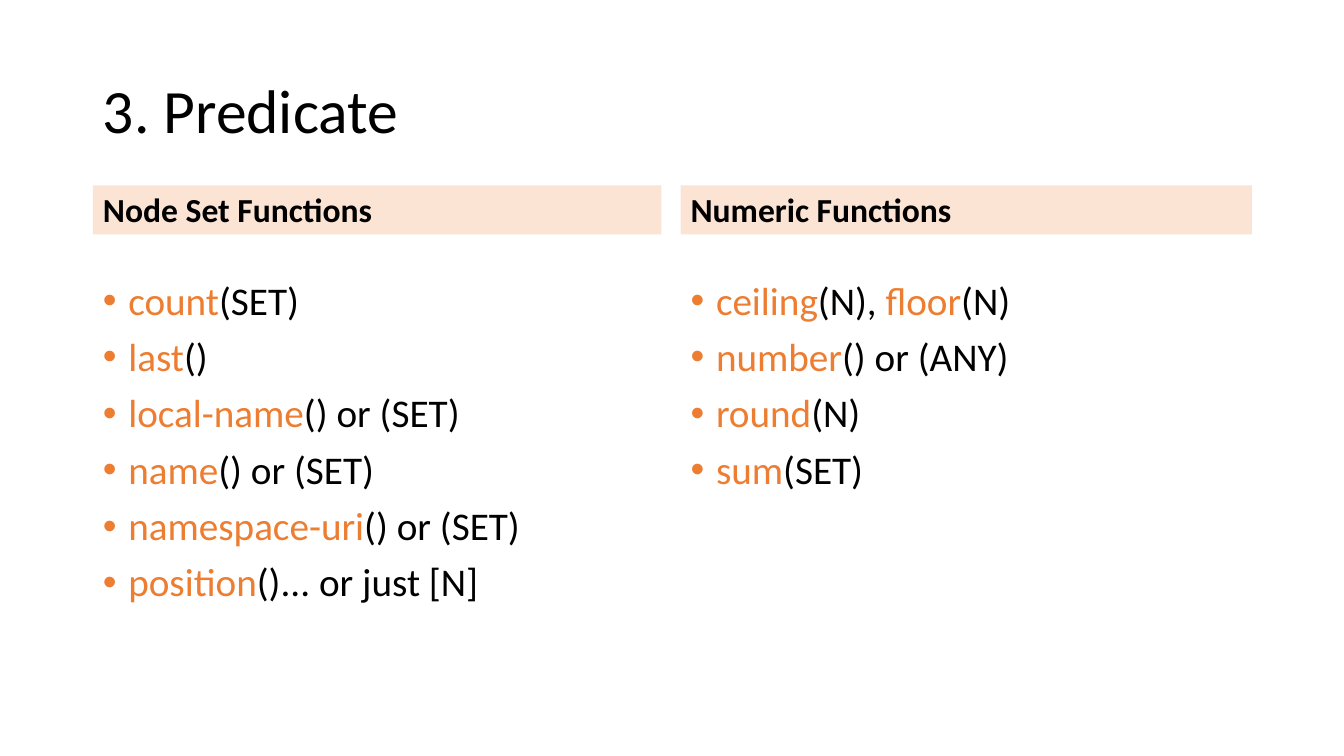
"""Build the predicate slide comparing node set and numeric functions."""
from dataclasses import dataclass

from lxml.etree import SubElement
from pptx import Presentation
from pptx.dml.color import RGBColor
from pptx.enum.text import MSO_ANCHOR as Anchor, MSO_AUTO_SIZE as AutoSize, PP_ALIGN as Align
from pptx.oxml.ns import qn
from pptx.shapes.placeholder import SlidePlaceholder as Placeholder
from pptx.util import Cm, Pt

COLORS = {"text": "000000", "accent": "ED7D31", "band": "FBE4D4"}
FONT = "Calibri"
COMPARISON_LAYOUT = 4
HEADING_TOP, HEADING_HEIGHT = 4.67, 1.24
LIST_TOP, LIST_HEIGHT = 6.96, 10.24
INDENT = 0.64


@dataclass
class Column:
    left: float
    width: float
    heading_index: int
    list_index: int
    heading: str
    functions: list[str]


COLUMNS = [
    Column(2.34, 14.33, 1, 2, "Node Set Functions", [
        "count|(SET)",
        "last|()",
        "local-name|() or (SET)",
        "name|() or (SET)",
        "namespace-uri|() or (SET)",
        "position|()... or just [N]",
    ]),
    Column(17.15, 14.4, 3, 4, "Numeric Functions", [
        "ceiling|(N), |floor|(N)",
        "number|() or (ANY)",
        "round|(N)",
        "sum|(SET)",
    ]),
]


def color(name: str) -> RGBColor:
    return RGBColor.from_string(COLORS[name])


def place(box: Placeholder, left: float, top: float, width: float, height: float,
          anchor: Anchor) -> None:
    box.left, box.top, box.width, box.height = Cm(left), Cm(top), Cm(width), Cm(height)
    frame = box.text_frame
    frame.word_wrap = True
    frame.auto_size = AutoSize.NONE
    frame.vertical_anchor = anchor


def format_para(para, size: int, bold: bool = False, space_before: int = 0) -> None:
    para.alignment = Align.LEFT
    para.line_spacing = 0.9
    para.space_before = Pt(space_before)
    para.font.name = FONT
    para.font.size = Pt(size)
    para.font.bold = bold


def add_bullet(para) -> None:
    properties = para._p.get_or_add_pPr()
    properties.set("marL", str(Cm(INDENT)))
    properties.set("indent", str(-Cm(INDENT)))
    bullet_color = SubElement(properties, qn("a:buClr"))
    SubElement(bullet_color, qn("a:srgbClr"), val=COLORS["accent"])
    SubElement(properties, qn("a:buFont"), typeface="Arial")
    SubElement(properties, qn("a:buChar"), char="•")


def write_line(box: Placeholder, text: str, size: int, bold: bool = False) -> None:
    box.text_frame.text = text
    para = box.text_frame.paragraphs[0]
    format_para(para, size, bold)
    para.font.color.rgb = color("text")


def write_functions(box: Placeholder, functions: list[str]) -> None:
    frame = box.text_frame
    for number, function in enumerate(functions):
        para = frame.add_paragraph() if number else frame.paragraphs[0]
        add_bullet(para)
        format_para(para, 28, space_before=10 if number else 0)
        for position, part in enumerate(function.split("|")):
            span = para.add_run()
            span.text = part
            span.font.color.rgb = color("text" if position % 2 else "accent")


def draw_column(page, column: Column) -> None:
    heading = page.placeholders[column.heading_index]
    place(heading, column.left, HEADING_TOP, column.width, HEADING_HEIGHT, Anchor.BOTTOM)
    heading.fill.solid()
    heading.fill.fore_color.rgb = color("band")
    write_line(heading, column.heading, 24, bold=True)

    function_list = page.placeholders[column.list_index]
    place(function_list, column.left, LIST_TOP, column.width, LIST_HEIGHT, Anchor.TOP)
    write_functions(function_list, column.functions)


def main() -> None:
    deck = Presentation()
    deck.slide_width, deck.slide_height = Cm(33.87), Cm(19.05)
    page = deck.slides.add_slide(deck.slide_layouts[COMPARISON_LAYOUT])
    title = page.shapes.title
    place(title, 2.34, 1.02, 29.21, 3.68, Anchor.MIDDLE)
    write_line(title, "3. Predicate", 44)
    for column in COLUMNS:
        draw_column(page, column)
    deck.save("out.pptx")


if __name__ == "__main__":
    main()
